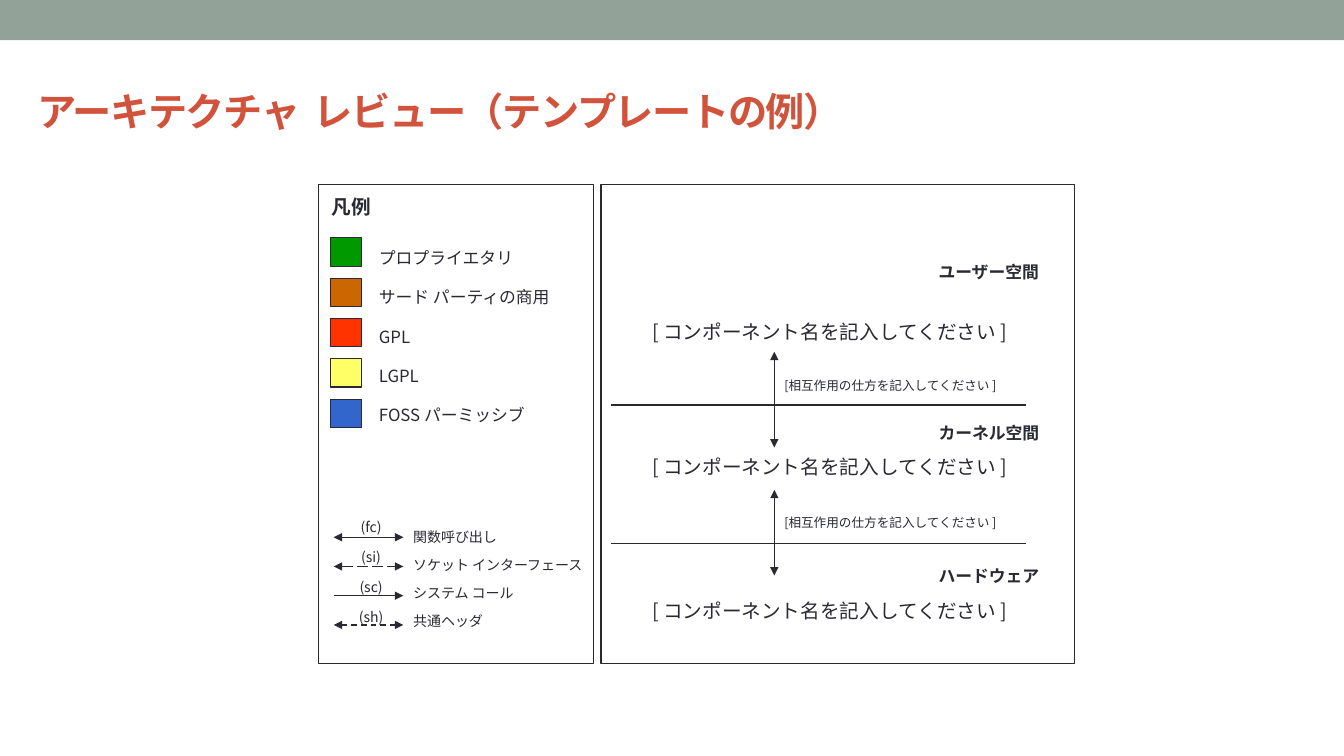
import pptx
import pptx.dml.color
import pptx.enum.dml
import pptx.enum.shapes
import pptx.enum.text
import pptx.oxml.ns
import pptx.util
from lxml import etree

Inches = pptx.util.Inches
Align = pptx.enum.text.PP_ALIGN
Anchor = pptx.enum.text.MSO_ANCHOR
Dash = pptx.enum.dml.MSO_LINE
qn = pptx.oxml.ns.qn

FONT = "Noto Sans CJK JP"
COLORS = {
    "ink": "292934", "title": "D2533C", "band": "93A299",
    "green": "009900", "brown": "CC6600", "red": "FF3300",
    "yellow": "FFFF66", "blue": "3366CC",
}
TITLE = "アーキテクチャ  レビュー（テンプレートの例）"
LEGEND_HEADING = "凡例"
LICENSES = [
    ("プロプライエタリ", "green", 1.55),
    ("サード パーティの商用", "brown", 1.97),
    ("GPL", "red", 0.52),
    ("LGPL", "yellow", 0.61),
    ("FOSS パーミッシブ", "blue", 1.71),
]
CALLS = [
    ("(fc)", "関数呼び出し", 1.04, None, True),
    ("(si)", "ソケット インターフェース", 1.96, Dash.LONG_DASH, True),
    ("(sc)", "システム コール", 1.25, None, False),
    ("(sh)", "共通ヘッダ", 0.9, Dash.DASH, True),
]
COMPONENT = "[ コンポーネント名を記入してください ]"
INTERACTION = "[相互作用の仕方を記入してください ]"
LAYERS = [
    ("ユーザー空間", 2.55, 3.12),
    ("カーネル空間", 4.14, 4.46),
    ("ハードウェア", 5.56, 5.89),
]
BOUNDARIES = [(4.02, 3.49, 4.44, 3.7), (5.39, 4.86, 5.71, 5.06)]

deck = pptx.Presentation()
deck.slide_width, deck.slide_height = Inches(13.33), Inches(7.5)
slide = deck.slides.add_slide(deck.slide_layouts[6])


def rgb(name):
    return pptx.dml.color.RGBColor.from_string(COLORS[name])


def add_text(text, left, top, width, height, size=12, color="ink", bold=False,
             wrap=False, align=Align.LEFT, anchor=Anchor.TOP, spacing=None):
    box = slide.shapes.add_textbox(*map(Inches, (left, top, width, height)))
    frame = box.text_frame
    frame.word_wrap = wrap
    frame.vertical_anchor = anchor
    paragraph = frame.paragraphs[0]
    paragraph.alignment = align
    run = paragraph.add_run()
    run.text = text
    run.font.name = FONT
    run.font.size = pptx.util.Pt(size)
    run.font.bold = bold
    run.font.color.rgb = rgb(color)
    properties = run.font._element
    etree.SubElement(properties, qn("a:ea")).set("typeface", FONT)
    if spacing is not None:
        properties.set("spc", str(spacing))


def add_rect(left, top, width, height, fill=None, line=None):
    rect = slide.shapes.add_shape(pptx.enum.shapes.MSO_SHAPE.RECTANGLE,
                                  *map(Inches, (left, top, width, height)))
    rect.shadow.inherit = False
    if fill:
        rect.fill.solid()
        rect.fill.fore_color.rgb = rgb(fill)
    else:
        rect.fill.background()
    if line:
        rect.line.color.rgb = rgb("ink")
        rect.line.width = pptx.util.Pt(line)
    else:
        rect.line.fill.background()


def add_line(x1, y1, x2, y2, width=1, dash=None, head=False, tail=False):
    line = slide.shapes.add_connector(pptx.enum.shapes.MSO_CONNECTOR.STRAIGHT,
                                      *map(Inches, (x1, y1, x2, y2)))
    line.line.color.rgb = rgb("ink")
    line.line.width = pptx.util.Pt(width)
    if dash:
        line.line.dash_style = dash
    outline = line.line._get_or_add_ln()
    for tag, shown in (("a:headEnd", head), ("a:tailEnd", tail)):
        if shown:
            etree.SubElement(outline, qn(tag)).set("type", "triangle")
    etree.SubElement(line._element.spPr, qn("a:effectLst"))


add_rect(0, 0, 13.33, 0.4, fill="band")
add_text(TITLE, 0.27, 0.56, 12, 1.08, size=28, color="title", bold=True,
         wrap=True, anchor=Anchor.MIDDLE, spacing=-100)

add_rect(3.16, 1.83, 2.73, 4.75, line=1)
add_text(LEGEND_HEADING, 3.19, 1.88, 0.59, 0.34, size=14, bold=True)
for i, (license_name, swatch, width) in enumerate(LICENSES):
    add_rect(3.28, 2.36 + 0.4 * i, 0.31, 0.28, fill=swatch, line=0.75)
    add_text(license_name, 3.66, 2.41 + 0.39 * i, width, 0.3)

for i, (code, call, width, dash, both_ways) in enumerate(CALLS):
    arrow_y = 5.33 + 0.29 * i
    add_line(3.31, arrow_y, 4, arrow_y, dash=dash, head=both_ways, tail=True)
    add_text(code, 3.44, 5.09 + 0.3 * i, 0.48, 0.27, size=10, align=Align.CENTER)
    add_text(call, 4, 5.19 + 0.28 * i, width, 0.27, size=10)

add_rect(5.96, 1.83, 4.7, 4.75, line=1)
for layer, layer_top, component_top in LAYERS:
    add_text(layer, 9.21, layer_top, 1.21, 0.3, bold=True)
    add_text(COMPONENT, 6.37, component_top, 3.93, 0.34, size=14)

for boundary_y, arrow_top, arrow_bottom, interaction_top in BOUNDARIES:
    add_line(6.06, boundary_y, 10.18, boundary_y)
    add_line(7.68, arrow_top, 7.68, arrow_bottom, width=0.75, head=True, tail=True)
    add_text(INTERACTION, 7.68, interaction_top, 2.49, 0.25, size=9, wrap=True)

deck.save("out.pptx")
